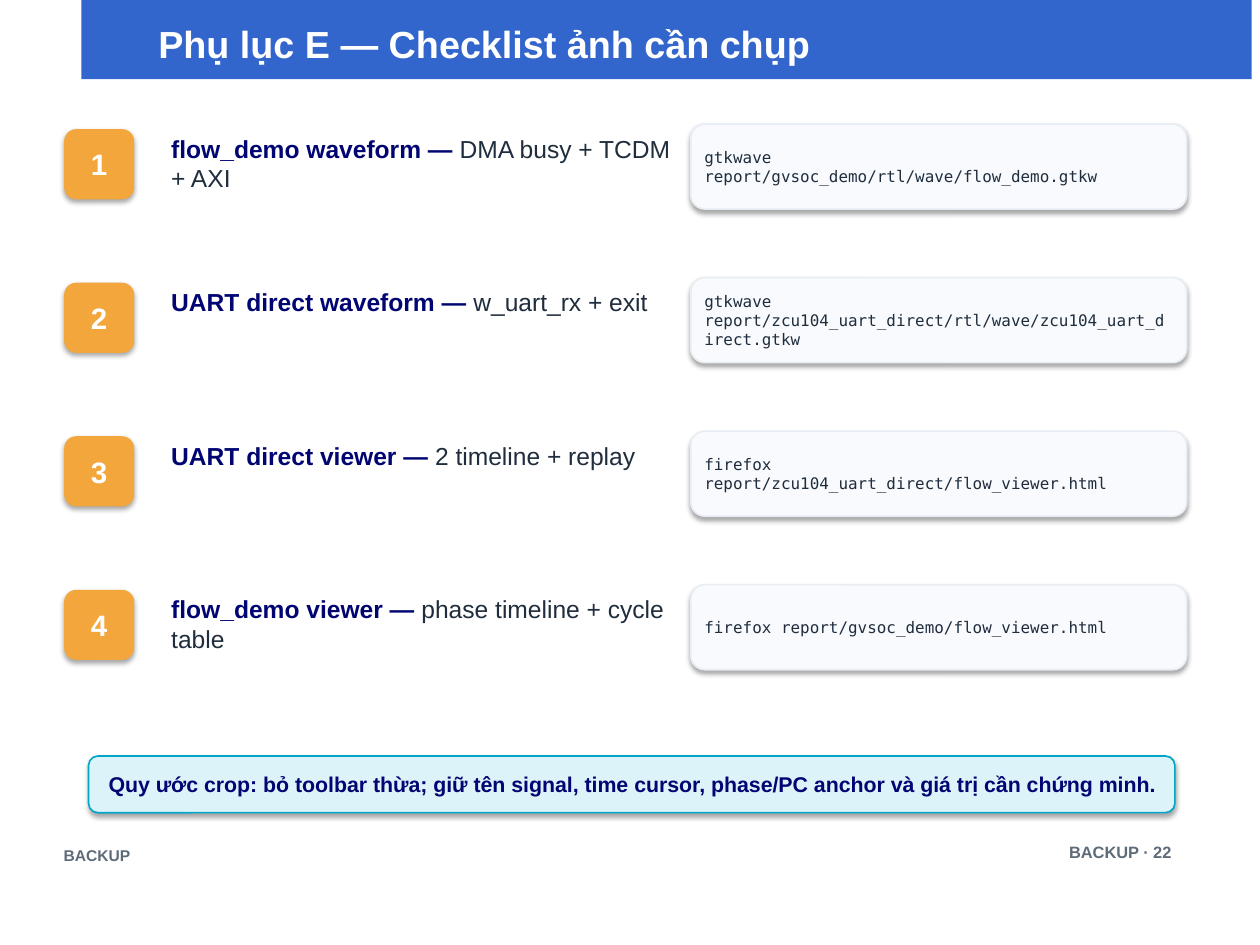
from dataclasses import dataclass

from pptx import Presentation
from pptx.dml.color import RGBColor
from pptx.enum.shapes import MSO_SHAPE
from pptx.enum.text import MSO_ANCHOR, PP_ALIGN
from pptx.util import Inches, Pt


@dataclass(frozen=True)
class Theme:
    banner: str = "3366CC"
    white: str = "FFFFFF"
    navy: str = "000572"
    ink: str = "1F2D3D"
    muted: str = "5E6B78"
    badge: str = "F2A63B"
    code_fill: str = "F8FAFD"
    code_line: str = "E8EDF3"
    note_fill: str = "DDF3FA"
    note_line: str = "00A6C8"
    sans: str = "Arial"
    mono: str = "DejaVu Sans Mono"
    title_size: float = 23
    badge_size: float = 18
    item_size: float = 15
    note_size: float = 13
    code_size: float = 9.7
    footer_size: float = 9.5
    page_size: float = 10


THEME = Theme()

ITEMS = [
    ("flow_demo waveform", "DMA busy + TCDM + AXI",
     "gtkwave report/gvsoc_demo/rtl/wave/flow_demo.gtkw"),
    ("UART direct waveform", "w_uart_rx + exit",
     "gtkwave report/zcu104_uart_direct/rtl/wave/zcu104_uart_direct.gtkw"),
    ("UART direct viewer", "2 timeline + replay",
     "firefox report/zcu104_uart_direct/flow_viewer.html"),
    ("flow_demo viewer", "phase timeline + cycle table",
     "firefox report/gvsoc_demo/flow_viewer.html"),
]


def write(sp, runs, size, font=THEME.sans, align=PP_ALIGN.LEFT,
          anchor=MSO_ANCHOR.MIDDLE, inset=(0.08, 0.08)):
    """Fill a shape with one paragraph of (text, colour, bold) runs."""
    tf = sp.text_frame
    tf.word_wrap = True
    tf.vertical_anchor = anchor
    tf.margin_left = tf.margin_right = Inches(inset[0])
    tf.margin_top = tf.margin_bottom = Inches(inset[1])
    p = tf.paragraphs[0]
    p.alignment = align
    p.font.name = font
    p.font.size = Pt(size)
    for text, color, bold in runs:
        r = p.add_run()
        r.text = text
        r.font.bold = bold
        r.font.color.rgb = RGBColor.from_string(color)


def add_text(s, left, top, width, height, runs, size, **layout):
    sp = s.shapes.add_textbox(Inches(left), Inches(top), Inches(width), Inches(height))
    write(sp, runs, size, **layout)


def add_card(s, left, top, width, height, fill, line, runs, size, **layout):
    """Add a rounded box that keeps the soft shadow of the theme."""
    sp = s.shapes.add_shape(MSO_SHAPE.ROUNDED_RECTANGLE, Inches(left), Inches(top),
                            Inches(width), Inches(height))
    sp.fill.solid()
    sp.fill.fore_color.rgb = RGBColor.from_string(fill)
    sp.line.color.rgb = RGBColor.from_string(line)
    sp.line.width = Pt(1)
    write(sp, runs, size, **layout)


def add_header(s, left, top, width, height, title):
    band = s.shapes.add_shape(MSO_SHAPE.RECTANGLE, Inches(left), Inches(top),
                              Inches(width), Inches(height))
    band.shadow.inherit = False
    band.fill.solid()
    band.fill.fore_color.rgb = RGBColor.from_string(THEME.banner)
    band.line.fill.background()
    add_text(s, left + 0.63, top + 0.09, 8.55, 0.56, [(title, THEME.white, True)],
             THEME.title_size, inset=(0.02, 0.02))


def add_item(s, left, top, width, number, name, detail, command):
    """Add a checklist row: number badge, description and command card."""
    badge, code_width = 0.58, 4.2
    add_card(s, left, top + 0.05, badge, badge, THEME.badge, THEME.badge,
             [(str(number), THEME.white, True)], THEME.badge_size,
             align=PP_ALIGN.CENTER)
    add_text(s, left + 0.85, top + 0.05, 4.42, 0.42,
             [(f"{name} — ", THEME.navy, True), (detail, THEME.ink, False)],
             THEME.item_size, anchor=MSO_ANCHOR.TOP, inset=(0.05, 0.03))
    add_card(s, left + width - code_width, top, code_width, 0.72,
             THEME.code_fill, THEME.code_line, [(command, THEME.ink, False)],
             THEME.code_size, font=THEME.mono)


def add_checklist(s, left, top, width, pitch, items):
    for i, item in enumerate(items):
        add_item(s, left, top + i * pitch, width, i + 1, *item)


def add_note(s, left, top, width, height, text):
    add_card(s, left, top, width, height, THEME.note_fill, THEME.note_line,
             [(text, THEME.navy, True)], THEME.note_size, align=PP_ALIGN.CENTER)


def add_footer(s, left, top, width, section, page):
    page_width = 1.1
    add_text(s, left, top + 0.03, 4.5, 0.23, [(section, THEME.muted, True)],
             THEME.footer_size, anchor=MSO_ANCHOR.TOP)
    add_text(s, left + width - page_width, top, page_width, 0.28,
             [(f"{section} · {page}", THEME.muted, True)], THEME.page_size,
             align=PP_ALIGN.RIGHT, anchor=MSO_ANCHOR.TOP)


def main():
    prs = Presentation()
    prs.slide_width, prs.slide_height = Inches(10.67), Inches(8)
    s = prs.slides.add_slide(prs.slide_layouts[6])
    add_header(s, 0.69, 0, 9.91, 0.67, "Phụ lục E — Checklist ảnh cần chụp")
    add_footer(s, 0.46, 7.05, 9.54, "BACKUP", 22)
    add_checklist(s, 0.55, 1.05, 9.5, 1.3, ITEMS)
    add_note(s, 0.75, 6.4, 9.2, 0.48,
             "Quy ước crop: bỏ toolbar thừa; giữ tên signal, time cursor, "
             "phase/PC anchor và giá trị cần chứng minh.")
    prs.save("out.pptx")


if __name__ == "__main__":
    main()
